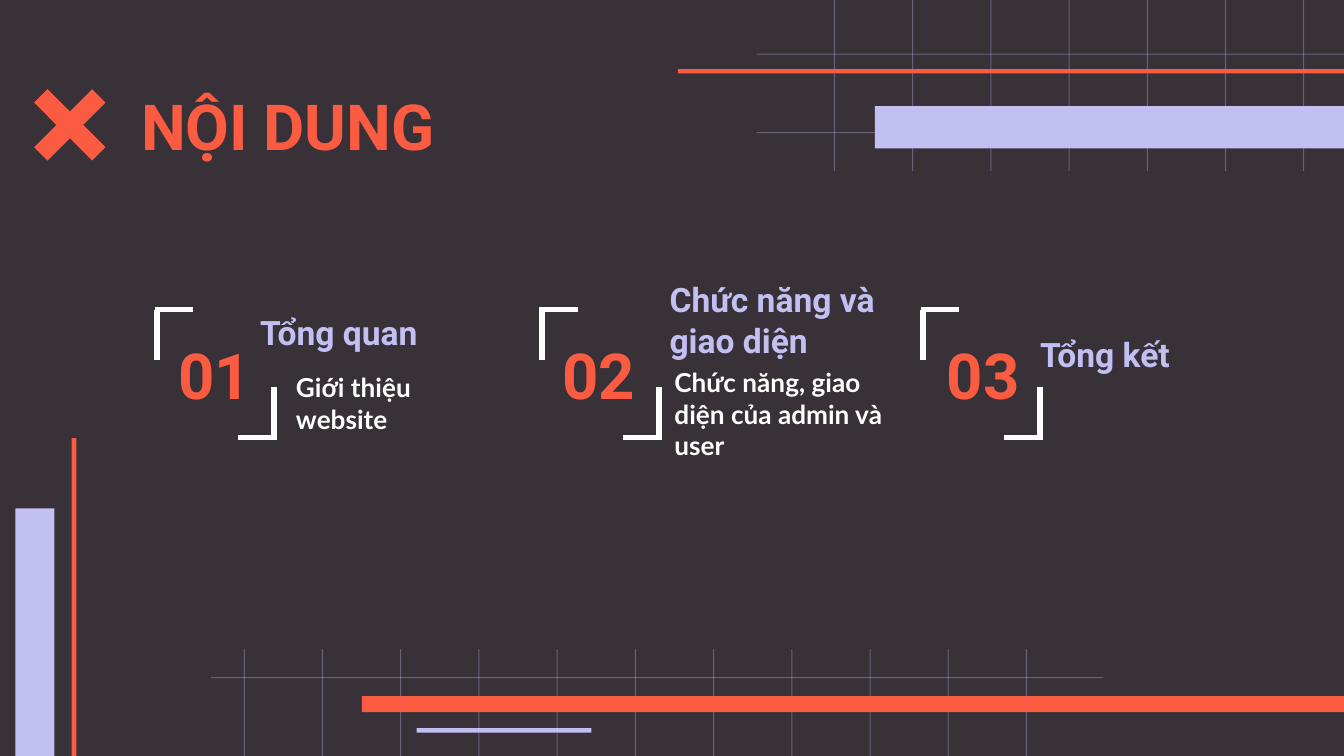
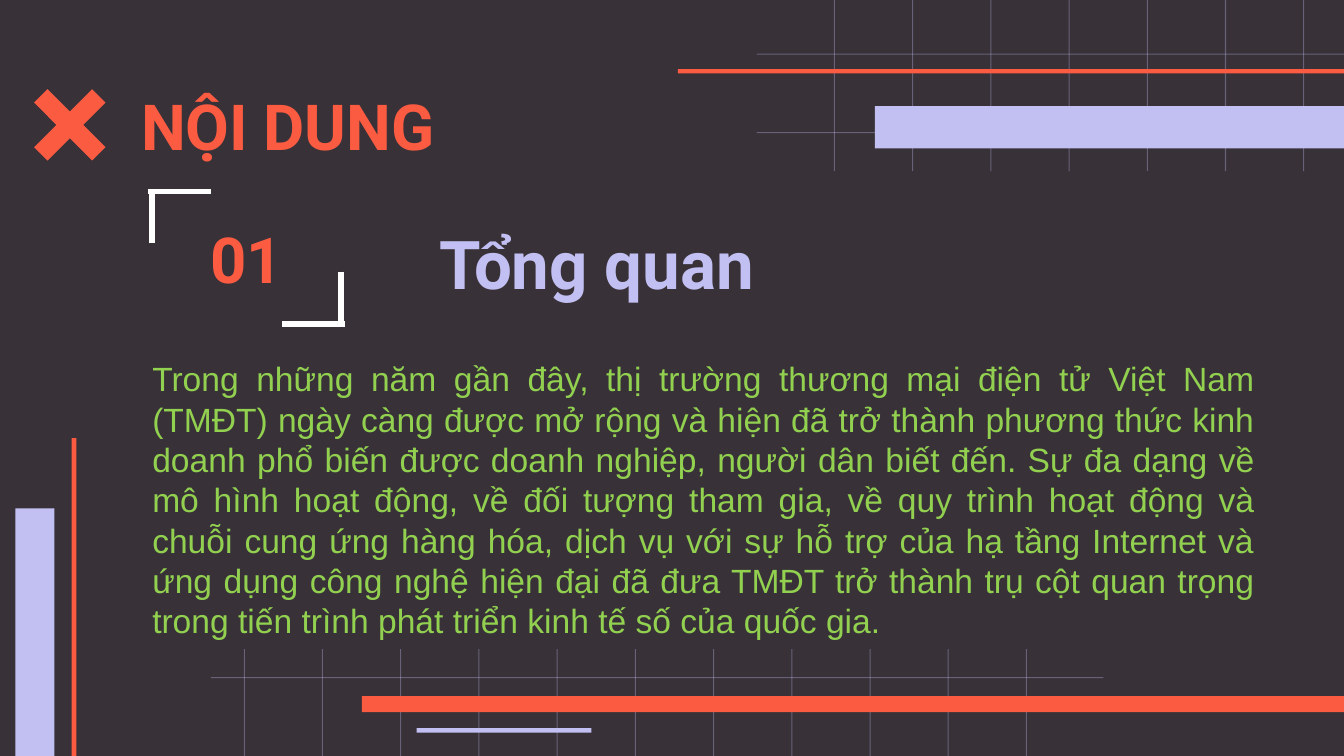
from dataclasses import dataclass
from typing import NamedTuple, Optional

from lxml import etree
from pptx import Presentation
from pptx.dml.color import RGBColor
from pptx.enum.shapes import MSO_CONNECTOR, MSO_SHAPE
from pptx.enum.text import MSO_ANCHOR, MSO_AUTO_SIZE, PP_ALIGN
from pptx.oxml.ns import qn
from pptx.util import Inches, Pt

COLORS = {
    "night": "383138",
    "coral": "FA5B41",
    "lilac": "C2C0F2",
    "white": "FFFFFF",
    "green": "92D050",
}

# Square grid cells: 100 columns across, 56.25 rows down.
COLUMNS, ROWS = 100, 56.25
SLIDE_WIDTH = Inches(10)
CELL = SLIDE_WIDTH / COLUMNS


class Area(NamedTuple):
    """A place on the grid, in columns and rows."""
    left: float
    top: float
    width: float
    height: float


class Style(NamedTuple):
    font: str
    size: int
    color: str
    bold: bool = True
    align: PP_ALIGN = PP_ALIGN.LEFT
    anchor: MSO_ANCHOR = MSO_ANCHOR.MIDDLE
    inset: float = 1


class Bar(NamedTuple):
    area: Area
    color: str


class Bracket(NamedTuple):
    """Two facing corners; the arms run along the top and bottom edges."""
    area: Area
    arm: float
    stem: float
    overhang: float


@dataclass
class Chapter:
    number: str
    heading: str
    number_area: Area
    heading_area: Area
    bracket: Bracket
    caption: str = ""
    caption_area: Optional[Area] = None


TITLE = Style("Roboto", 34, "coral")
NUMBER = Style("Roboto", 34, "coral", align=PP_ALIGN.CENTER)
HEADING = Style("Roboto", 18, "lilac")
LARGE_HEADING = Style("Roboto", 36, "lilac")
CAPTION = Style("Lato", 14, "white")
BODY = Style("Arial", 18, "green", bold=False, align=PP_ALIGN.JUSTIFY,
             anchor=MSO_ANCHOR.TOP, inset=0.5)

TITLE_AREA = Area(9.5, 5.85, 80.8, 6.9)
CROSS_AREA = Area(1.05, 5.15, 8.3, 8.3)
HAIRLINE = 0.08
# The grids and the right-hand bars bleed over the slide's edges.
TOP_GRID = (
    [Area(62.05 + 5.82 * i, -4.4, HAIRLINE, 17.15) for i in range(7)]
    + [Area(56.3, top, 46.4, HAIRLINE) for top in (4, 9.83)]
)
BOTTOM_GRID = (
    [Area(18.14 + 5.82 * i, 48.3, HAIRLINE, 30.85) for i in range(11)]
    + [Area(15.7, 50.38, 66.4, HAIRLINE)]
)
BARS = [
    Bar(Area(26.93, 51.8, 73.6, 1.2), "coral"),
    Bar(Area(1.15, 37.83, 2.9, ROWS - 37.83), "lilac"),
    Bar(Area(5.33, 32.6, 0.35, ROWS - 32.6), "coral"),
    Bar(Area(31, 54.17, 13, 0.35), "lilac"),
    Bar(Area(65.1, 7.9, 35.8, 3.15), "lilac"),
    Bar(Area(50.44, 5.14, COLUMNS - 50.44, 0.32), "coral"),
]


def small_bracket(left: float) -> Bracket:
    return Bracket(Area(left, 23.04, 9.1, 9.53), arm=2.88, stem=3.75,
                   overhang=0.2)


def number_column(index: int) -> Area:
    return Area(11.56 + 28.6 * index, 25.7, 8.8, 4.3)


CHAPTERS = [
    Chapter("01", "Tổng quan", number_column(0), Area(18.38, 22.54, 17.6, 4.3),
            small_bracket(11.5), "Giới thiệu website",
            Area(21.04, 27.34, 17.6, 5.3)),
    Chapter("02", "Chức năng và giao diện", number_column(1),
            Area(48.84, 21.64, 17.6, 4.3), small_bracket(40.14),
            "Chức năng, giao diện của admin và user",
            Area(49.2, 28.13, 17.6, 5.3)),
    Chapter("03", "Tổng kết", number_column(2), Area(76.4, 24.2, 17.6, 4.3),
            small_bracket(68.5)),
]
OVERVIEW = Chapter(
    "01", "Tổng quan", Area(11, 17.04, 14.7, 4.3), Area(31.7, 14.9, 51.8, 9.2),
    Bracket(Area(11, 14.24, 14.7, 9.86), arm=4.7, stem=3.88, overhang=0.33),
)
OVERVIEW_TEXT = (
    "Trong những năm gần đây, thị trường thương mại điện tử Việt Nam (TMĐT) "
    "ngày càng được mở rộng và hiện đã trở thành phương thức kinh doanh phổ "
    "biến được doanh nghiệp, người dân biết đến. Sự đa dạng về mô hình hoạt "
    "động, về đối tượng tham gia, về quy trình hoạt động và chuỗi cung ứng "
    "hàng hóa, dịch vụ với sự hỗ trợ của hạ tầng Internet và ứng dụng công "
    "nghệ hiện đại đã đưa TMĐT trở thành trụ cột quan trọng trong tiến trình "
    "phát triển kinh tế số của quốc gia."
)


def cells(count: float) -> int:
    return round(count * CELL)


def rgb(color: str) -> RGBColor:
    return RGBColor.from_string(COLORS[color])


def place(shape, area: Area) -> None:
    shape.left, shape.top, shape.width, shape.height = map(cells, area)


def write(shape, text: str, style: Style) -> None:
    frame = shape.text_frame
    frame.word_wrap = True
    frame.auto_size = MSO_AUTO_SIZE.NONE
    frame.vertical_anchor = style.anchor
    frame.margin_left = frame.margin_right = cells(1)
    frame.margin_top = frame.margin_bottom = cells(style.inset)
    paragraph = frame.paragraphs[0]
    paragraph.alignment = style.align
    run = paragraph.add_run()
    run.text = text
    run.font.name = style.font
    run.font.size = Pt(style.size)
    run.font.bold = style.bold
    run.font.color.rgb = rgb(style.color)


def add_text(slide, area: Area, text: str, style: Style):
    box = slide.shapes.add_textbox(*map(cells, area))
    write(box, text, style)
    return box


def add_solid(slide, kind: MSO_SHAPE, area: Area, color: str, opacity: int = 100):
    solid = slide.shapes.add_shape(kind, *map(cells, area))
    solid.shadow.inherit = False
    solid.line.fill.background()
    solid.fill.solid()
    solid.fill.fore_color.rgb = rgb(color)
    if opacity < 100:
        tint = next(solid.element.spPr.iter(qn("a:srgbClr")))
        etree.SubElement(tint, qn("a:alpha"), val=str(opacity * 1000))
    return solid


def add_line(slide, x1: float, y1: float, x2: float, y2: float) -> None:
    line = slide.shapes.add_connector(
        MSO_CONNECTOR.STRAIGHT, *map(cells, (x1, y1, x2, y2)))
    line.line.color.rgb = rgb("white")
    line.line.width = Pt(3)
    etree.SubElement(line.element.spPr, qn("a:effectLst"))


def add_bracket(slide, bracket: Bracket) -> None:
    left, top, width, height = bracket.area
    corners = ((left, top, 1), (left + width, top + height, -1))
    for x, y, inward in corners:
        stem_x = x + inward * bracket.overhang
        add_line(slide, stem_x, y + inward * bracket.stem, stem_x, y)
        add_line(slide, x, y, x + inward * bracket.arm, y)


def add_chapter(slide, chapter: Chapter, heading_style: Style) -> None:
    add_text(slide, chapter.heading_area, chapter.heading, heading_style)
    add_text(slide, chapter.number_area, chapter.number, NUMBER)
    if chapter.caption_area:
        add_text(slide, chapter.caption_area, chapter.caption, CAPTION)
    add_bracket(slide, chapter.bracket)


def add_titled_slide(prs, layout):
    slide = prs.slides.add_slide(layout)
    place(slide.shapes.title, TITLE_AREA)
    write(slide.shapes.title, "NỘI DUNG", TITLE)
    return slide


def decorate_layout(slide, layout) -> None:
    """Draw the shared decoration on a slide, then move it to the layout."""
    for placeholder in list(layout.placeholders):
        if placeholder.placeholder_format.idx != 0:
            placeholder.element.getparent().remove(placeholder.element)
    cross = add_solid(slide, MSO_SHAPE.MATH_MULTIPLY, CROSS_AREA, "coral")
    cross.adjustments[0] = 0.17
    decoration = [cross]
    for area in TOP_GRID + BOTTOM_GRID:
        decoration.append(
            add_solid(slide, MSO_SHAPE.RECTANGLE, area, "lilac", opacity=35))
    for bar in BARS:
        decoration.append(
            add_solid(slide, MSO_SHAPE.RECTANGLE, bar.area, bar.color))
    for shape in decoration:
        layout.shapes.element.append(shape.element)


def main() -> None:
    prs = Presentation()
    prs.slide_width, prs.slide_height = SLIDE_WIDTH, cells(ROWS)
    background = prs.slide_master.background.fill
    background.solid()
    background.fore_color.rgb = rgb("night")
    layout = prs.slide_layouts.get_by_name("Title Only")

    contents = add_titled_slide(prs, layout)
    decorate_layout(contents, layout)
    for chapter in CHAPTERS:
        add_chapter(contents, chapter, HEADING)

    overview = add_titled_slide(prs, layout)
    add_chapter(overview, OVERVIEW, LARGE_HEADING)
    body = add_text(overview, Area(10.35, 26.16, 84, 22.2), OVERVIEW_TEXT, BODY)
    body.text_frame.auto_size = MSO_AUTO_SIZE.SHAPE_TO_FIT_TEXT

    prs.save("out.pptx")


if __name__ == "__main__":
    main()
